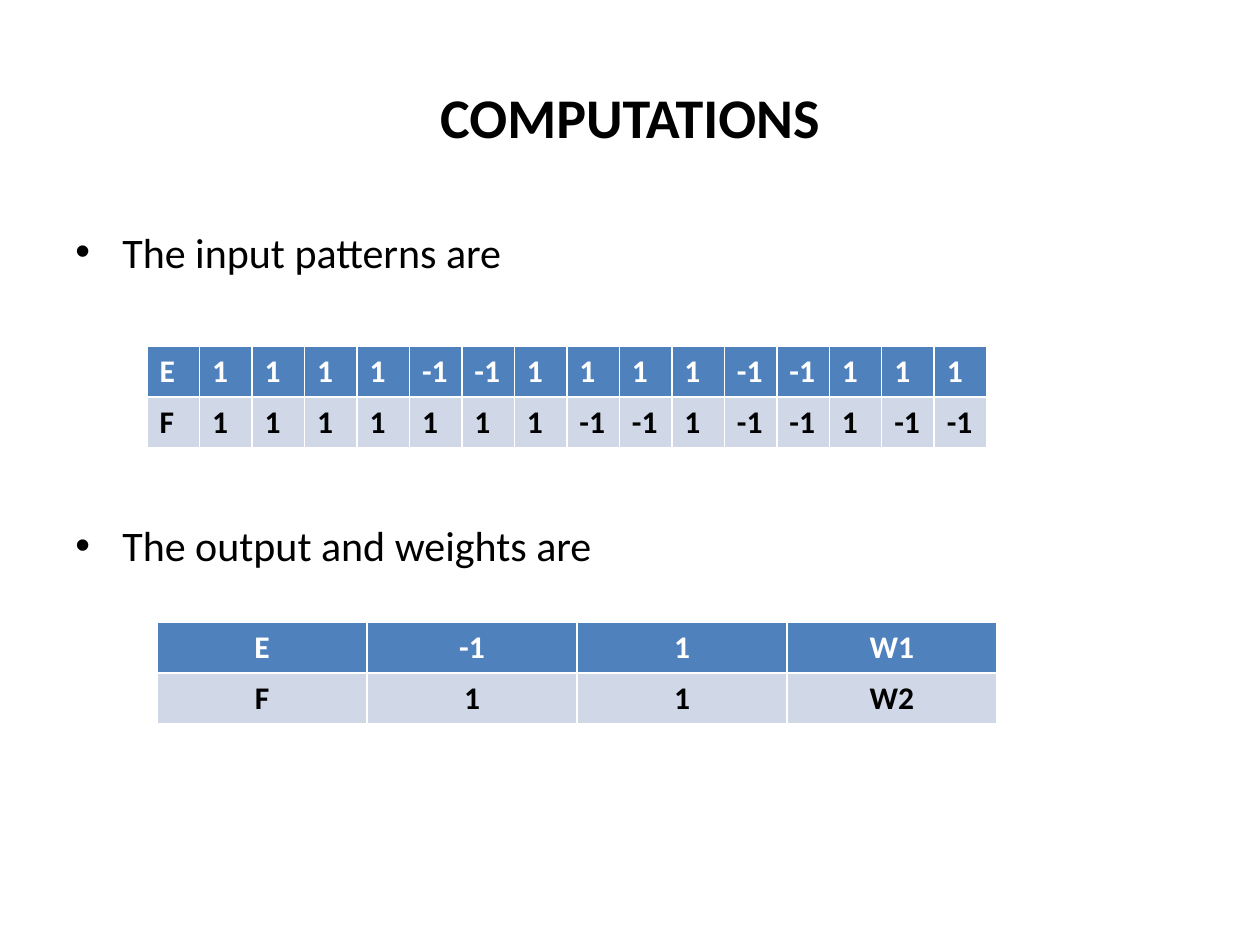
from dataclasses import dataclass

from lxml.etree import SubElement
from pptx import Presentation
from pptx.dml.color import RGBColor
from pptx.enum.text import MSO_ANCHOR, PP_ALIGN
from pptx.oxml.ns import qn
from pptx.slide import Slide
from pptx.table import _Cell
from pptx.text.text import TextFrame
from pptx.util import Pt

SCALE = 914400 / 126


@dataclass(frozen=True)
class Theme:
    font: str = "Calibri"
    ink: str = "000000"
    paper: str = "FFFFFF"
    head: str = "4F81BD"
    band: str = "D0D8E8"
    title: int = 32
    body: int = 24
    cell: int = 18
    rule: int = 1


@dataclass(frozen=True)
class Box:
    left: int
    top: int
    width: int
    height: int

    def emu(self) -> list[int]:
        return [px(n) for n in (self.left, self.top, self.width, self.height)]


@dataclass(frozen=True)
class Grid:
    box: Box
    rows: tuple[str, str]
    align: PP_ALIGN


THEME = Theme()
TITLE = Box(63, 38, 1134, 157)
BODY = Box(63, 220, 1134, 624)
INDENT = 47
GAP = 139  # points between the two bullets, leaving room for the first table
POINTS = ("The input patterns are", "The output and weights are")
GRIDS = (
    Grid(Box(147, 346, 840, 102),
         ("E 1 1 1 1 -1 -1 1 1 1 1 -1 -1 1 1 1",
          "F 1 1 1 1 1 1 1 -1 -1 1 -1 -1 1 -1 -1"), PP_ALIGN.LEFT),
    Grid(Box(157, 622, 840, 102), ("E -1 1 W1", "F 1 1 W2"), PP_ALIGN.CENTER),
)


def px(count: int) -> int:
    return round(count * SCALE)


def write(frame: TextFrame, text: str, *, size: int, color: str = THEME.ink,
          bold: bool = False, align: PP_ALIGN = PP_ALIGN.LEFT,
          bullet: bool = False, before: int = 0, more: bool = False) -> None:
    """Fill the first paragraph, or add one when more is set."""
    para = frame.add_paragraph() if more else frame.paragraphs[0]
    para.alignment = align
    para.space_before = Pt(before)
    if bullet:
        props = para._p.get_or_add_pPr()
        props.set("marL", str(px(INDENT)))
        props.set("indent", str(-px(INDENT)))
        SubElement(props, qn("a:buFont")).set("typeface", "Arial")
        SubElement(props, qn("a:buChar")).set("char", "•")
    run = para.add_run()
    run.text = text
    font = run.font
    font.name, font.size, font.bold = THEME.font, Pt(size), bold
    font.color.rgb = RGBColor.from_string(color)


def add_box(slide: Slide, box: Box, anchor: MSO_ANCHOR) -> TextFrame:
    frame = slide.shapes.add_textbox(*box.emu()).text_frame
    frame.word_wrap = True
    frame.vertical_anchor = anchor
    return frame


def edge(cell: _Cell) -> None:
    """Rule all four sides; must run before the cell's fill is set."""
    props = cell._tc.get_or_add_tcPr()
    for side in "LRTB":
        line = SubElement(props, qn(f"a:ln{side}"), w=str(Pt(THEME.rule)))
        fill = SubElement(line, qn("a:solidFill"))
        SubElement(fill, qn("a:srgbClr"), val=THEME.paper)


def add_grid(slide: Slide, grid: Grid) -> None:
    rows = [row.split() for row in grid.rows]
    table = slide.shapes.add_table(len(rows), len(rows[0]), *grid.box.emu()).table
    looks = ((THEME.head, THEME.paper), (THEME.band, THEME.ink))
    for r, (row, (fill, ink)) in enumerate(zip(rows, looks)):
        for c, text in enumerate(row):
            cell = table.cell(r, c)
            edge(cell)
            cell.fill.solid()
            cell.fill.fore_color.rgb = RGBColor.from_string(fill)
            write(cell.text_frame, text, size=THEME.cell, color=ink,
                  bold=True, align=grid.align)


def main() -> None:
    deck = Presentation()
    deck.slide_width, deck.slide_height = px(1260), px(945)
    slide = deck.slides.add_slide(deck.slide_layouts[6])
    write(add_box(slide, TITLE, MSO_ANCHOR.MIDDLE), "COMPUTATIONS",
          size=THEME.title, bold=True, align=PP_ALIGN.CENTER)
    body = add_box(slide, BODY, MSO_ANCHOR.TOP)
    for i, text in enumerate(POINTS):
        write(body, text, size=THEME.body, bullet=True, before=i * GAP, more=i > 0)
    for grid in GRIDS:
        add_grid(slide, grid)
    deck.save("out.pptx")


if __name__ == "__main__":
    main()
